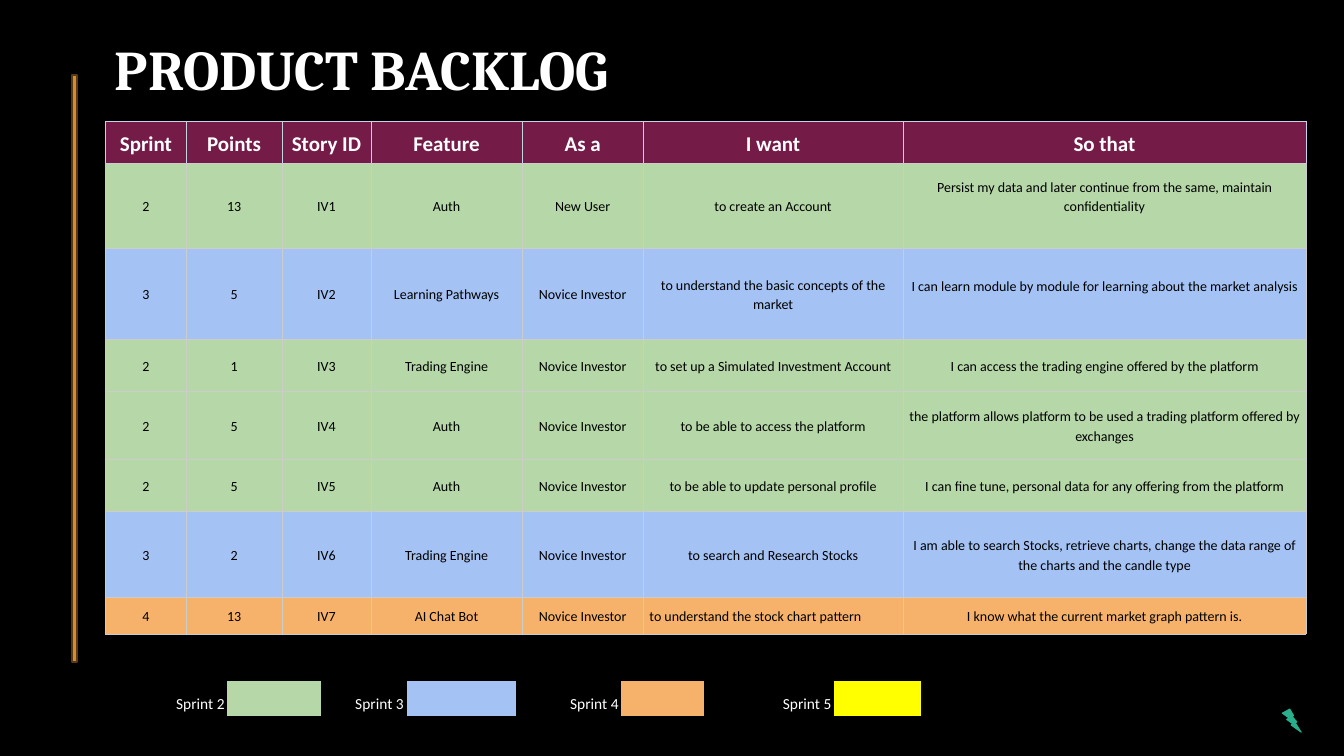
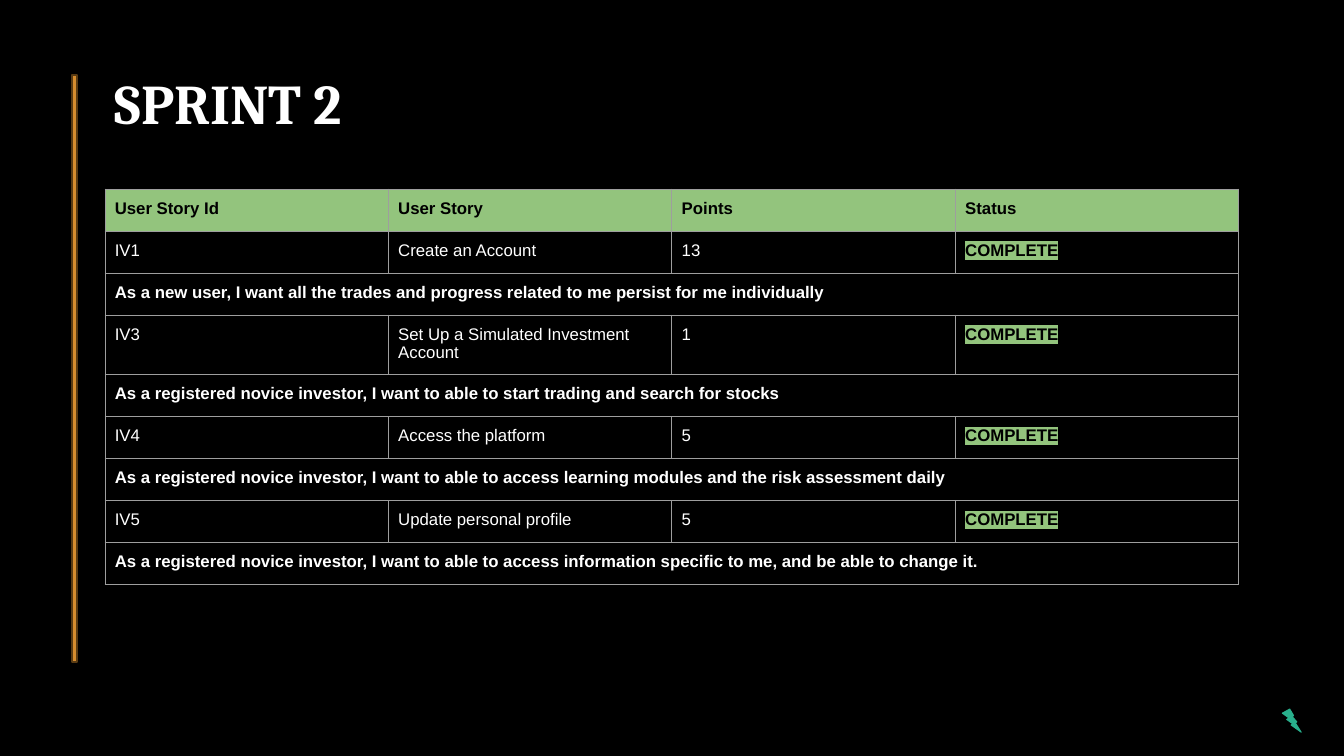
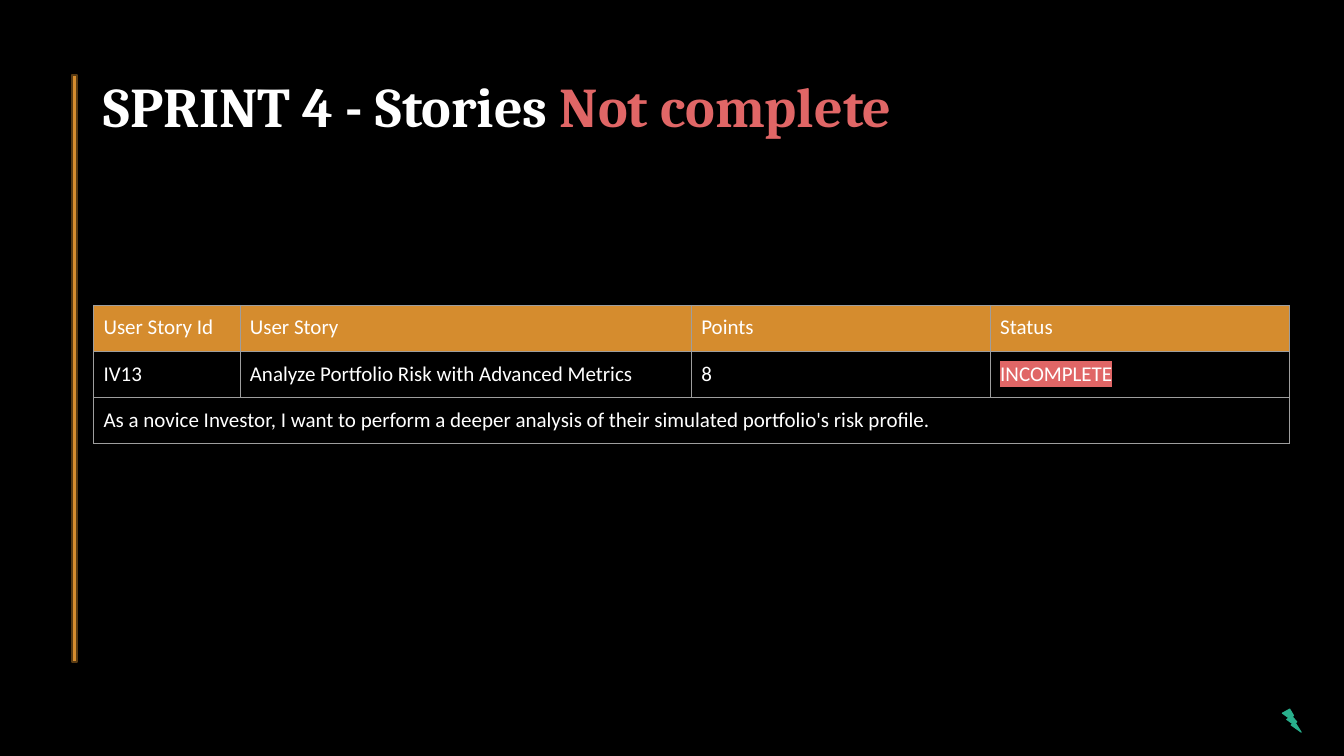
from dataclasses import dataclass, replace
from itertools import chain
from typing import Optional

from lxml.etree import SubElement
from pptx import Presentation
from pptx.dml.color import RGBColor
from pptx.enum.shapes import MSO_SHAPE
from pptx.enum.text import MSO_ANCHOR, PP_ALIGN
from pptx.oxml.ns import qn
from pptx.util import Pt

BLACK, WHITE = "000000", "FFFFFF"
GOLD, BROWN, TEAL = "D58C2E", "593B13", "29AF8C"
PLUM, LIME, RED = "741B47", "93C47D", "E06666"
SILVER, FROST, GREY = "CCCCCC", "C7D2E6", "9E9E9E"
SPRINTS = {"2": "B6D7A8", "3": "A4C2F4", "4": "F6B26B", "5": "FFFF00"}


@dataclass(frozen=True)
class Cell:
    text: str = ""
    size: float = 12
    font: str = "Calibri"
    color: str = WHITE
    bold: bool = False
    fill: Optional[str] = None
    mark: Optional[str] = None
    align: PP_ALIGN = PP_ALIGN.LEFT
    anchor: MSO_ANCHOR = MSO_ANCHOR.TOP
    pads: tuple[float, float, float, float] = (7, 7, 7, 7)
    space: float = 1
    edge: Optional[str] = None
    width: float = 0.75
    wide: bool = False


@dataclass(frozen=True)
class Grid:
    left: float
    top: float
    cols: list[float]
    rows: list[float]
    cells: list[list[Cell]]


def paint(target, code: str) -> None:
    """Give a fill or a line's fill one solid colour."""
    target.solid()
    target.fore_color.rgb = RGBColor.from_string(code)


def style(run, font: str, size: float, color: str, bold: bool) -> None:
    run.font.name, run.font.size, run.font.bold = font, Pt(size), bold
    run.font.color.rgb = RGBColor.from_string(color)


def mark_run(run, code: str) -> None:
    """Put a highlight behind a run that already has its colour."""
    props = run.font.fill._xPr
    mark = SubElement(props, qn("a:highlight"))
    SubElement(mark, qn("a:srgbClr"), val=code)
    props.find(qn("a:solidFill")).addnext(mark)


def edge_cell(box, code: Optional[str], width: float) -> None:
    """Draw all four borders, or none when there is no colour."""
    props = box._tc.get_or_add_tcPr()
    for side in "LRTB":
        line = SubElement(props, qn(f"a:ln{side}"), w=str(Pt(width)))
        if code:
            fill = SubElement(line, qn("a:solidFill"))
            SubElement(fill, qn("a:srgbClr"), val=code)
        else:
            SubElement(line, qn("a:noFill"))


def fill_cell(box, cell: Cell) -> None:
    edge_cell(box, cell.edge, cell.width)
    if cell.fill:
        paint(box.fill, cell.fill)
    else:
        box.fill.background()
    box.margin_left, box.margin_top, box.margin_right, box.margin_bottom = map(Pt, cell.pads)
    box.vertical_anchor = cell.anchor
    if not cell.text:
        return
    box.text_frame.text = cell.text
    para = box.text_frame.paragraphs[0]
    para.alignment, para.line_spacing = cell.align, cell.space
    run = para.runs[0]
    style(run, cell.font, cell.size, cell.color, cell.bold)
    if cell.mark:
        mark_run(run, cell.mark)


def add_grid(slide, grid: Grid) -> None:
    table = slide.shapes.add_table(
        len(grid.rows), len(grid.cols), Pt(grid.left), Pt(grid.top),
        Pt(sum(grid.cols)), Pt(sum(grid.rows))).table
    table.first_row = table.horz_banding = False
    for col, width in zip(table.columns, grid.cols):
        col.width = Pt(width)
    for y, (height, cells) in enumerate(zip(grid.rows, grid.cells)):
        table.rows[y].height = Pt(height)
        for x, cell in enumerate(cells):
            fill_cell(table.cell(y, x), cell)
        if cells[0].wide:
            for x in range(1, len(grid.cols)):
                fill_cell(table.cell(y, x), replace(cells[0], text=""))
            table.cell(y, 0).merge(table.cell(y, len(grid.cols) - 1))


def add_shape(slide, kind: MSO_SHAPE, place: tuple, fill: str, line: str, width: float) -> None:
    shape = slide.shapes.add_shape(kind, *map(Pt, place))
    shape.shadow.inherit = False
    paint(shape.fill, fill)
    paint(shape.line.fill, line)
    shape.line.width = Pt(width)


def add_title(slide, place: tuple, parts: list[tuple[str, str]]) -> None:
    frame = slide.shapes.add_textbox(*map(Pt, place)).text_frame
    frame.word_wrap = True
    frame.margin_left = frame.margin_right = Pt(7.2)
    frame.margin_top = frame.margin_bottom = Pt(7.2)
    frame.vertical_anchor = MSO_ANCHOR.MIDDLE
    para = frame.paragraphs[0]
    para.line_spacing = 0.9
    for text, color in parts:
        run = para.add_run()
        run.text = text
        style(run, "Cambria", 40, color, True)


def new_slide(deck, place: tuple, parts: list[tuple[str, str]]):
    """Start a slide with the shared ground, bar, bolt and title."""
    slide = deck.slides.add_slide(deck.slide_layouts[6])
    paint(slide.background.fill, BLACK)
    add_shape(slide, MSO_SHAPE.RECTANGLE, (51.5, 53.5, 3.5, 419.5), GOLD, BROWN, 1)
    add_shape(slide, MSO_SHAPE.LIGHTNING_BOLT, (916, 506.5, 13.5, 16.5), TEAL, TEAL, 0.75)
    add_title(slide, place, parts)
    return slide


HEADS = ["Sprint", "Points", "Story ID", "Feature", "As a", "I want", "So that"]
NOVICE = "Novice Investor"
BACKLOG = [
    ("2", "13", "IV1", "Auth", "New User", "to create an Account",
     "Persist my data and later continue from the same, maintain confidentiality"),
    ("3", "5", "IV2", "Learning Pathways", NOVICE,
     "to understand the basic concepts of the market",
     "I can learn module by module for learning about the market analysis"),
    ("2", "1", "IV3", "Trading Engine", NOVICE, "to set up a Simulated Investment Account",
     "I can access the trading engine offered by the platform"),
    ("2", "5", "IV4", "Auth", NOVICE, "to be able to access the platform",
     "the platform allows platform to be used a trading platform offered by exchanges"),
    ("2", "5", "IV5", "Auth", NOVICE, "to be able to update personal profile",
     "I can fine tune, personal data for any offering from the platform"),
    ("3", "2", "IV6", "Trading Engine", NOVICE, "to search and Research Stocks",
     "I am able to search Stocks, retrieve charts, change the data range of the charts "
     "and the candle type"),
    ("4", "13", "IV7", "AI Chat Bot", NOVICE, "to understand the stock chart pattern",
     "I know what the current market graph pattern is."),
]
STORY_HEADS = ["User Story Id", "User Story", "Points", "Status"]
DONE = [
    ("IV1", "Create an Account", "13",
     "As a new user, I want all the trades and progress related to me persist for me "
     "individually"),
    ("IV3", "Set Up a Simulated Investment Account", "1",
     "As a registered novice investor, I want to able to start trading and search for stocks"),
    ("IV4", "Access the platform", "5",
     "As a registered novice investor, I want to able to access learning modules and the "
     "risk assessment daily"),
    ("IV5", "Update personal profile", "5",
     "As a registered novice investor, I want to able to access information specific to me, "
     "and be able to change it."),
]
OPEN = [
    ("IV13", "Analyze Portfolio Risk with Advanced Metrics", "8",
     "As a novice Investor, I want to perform a deeper analysis of their simulated "
     "portfolio's risk profile."),
]


def row_of(base: Cell, texts) -> list[Cell]:
    return [replace(base, text=text) for text in texts]


def story_rows(head: Cell, plain: Cell, state: Cell, note: Cell, tales) -> list[list[Cell]]:
    """Head row, then for each story a row of facts and a full-width note."""
    pairs = ([row_of(plain, facts) + [state], [replace(note, text=text)]]
             for *facts, text in tales)
    return [row_of(head, STORY_HEADS), *chain.from_iterable(pairs)]


def backlog_grid() -> Grid:
    body = Cell(size=10, color=BLACK, align=PP_ALIGN.CENTER, anchor=MSO_ANCHOR.MIDDLE,
                pads=(2, 1.5, 2, 1.5), space=1.15, edge=SILVER, width=0.5)
    head = replace(body, size=15, color=WHITE, bold=True, fill=PLUM, edge=FROST)
    cells = [row_of(head, HEADS)]
    cells += [row_of(replace(body, fill=SPRINTS[row[0]]), row) for row in BACKLOG]
    for y, lift in ((1, 15.5), (2, 13.5)):
        cells[y][-1] = replace(cells[y][-1], pads=(2, 1.5, 2, lift))
    cells[-1][5] = replace(cells[-1][5], align=PP_ALIGN.LEFT, pads=(4.5, 1.5, 2, 1.5))
    return Grid(75.5, 87, [57.5, 68.5, 63.5, 108, 86.5, 185.5, 288],
                [29.5, 61, 65, 37, 49, 37, 61, 26.5], cells)


def legend_grid() -> Grid:
    base = Cell(size=11, align=PP_ALIGN.RIGHT, anchor=MSO_ANCHOR.BOTTOM,
                pads=(2, 1.5, 2, 1.5), space=1.15)
    cells = []
    for sprint, fill in SPRINTS.items():
        cells += [replace(base, text=f"Sprint {sprint}"), replace(base, fill=fill), base]
    return Grid(39.5, 486.5, [123, 67, 20, 41, 78.5, 20, 55, 59, 24.5, 68.5, 62],
                [25], [cells[:-1]])


def done_grid() -> Grid:
    plain = Cell(font="Arial", edge=GREY)
    note = replace(plain, bold=True, wide=True)
    head = replace(plain, color=BLACK, bold=True, fill=LIME)
    state = replace(plain, text="COMPLETE", color=BLACK, bold=True, mark=LIME)
    cells = story_rows(head, plain, state, note, DONE)
    return Grid(75, 135, [202.5] * 4, [30] * len(cells), cells)


def open_grid() -> Grid:
    plain = Cell(size=15, edge=GREY)
    cells = story_rows(replace(plain, fill=GOLD), plain,
                       replace(plain, text="INCOMPLETE", mark=RED),
                       replace(plain, wide=True), OPEN)
    return Grid(67, 218, [104.5, 322.5, 213.5, 213.5], [33] * len(cells), cells)


def main() -> None:
    deck = Presentation()
    deck.slide_width, deck.slide_height = Pt(960), Pt(540)

    slide = new_slide(deck, (75, 23, 410, 58), [("PRODUCT BACKLOG", WHITE)])
    add_grid(slide, backlog_grid())
    add_grid(slide, legend_grid())

    slide = new_slide(deck, (75, 47, 236, 58), [("SPRINT 2", WHITE)])
    add_grid(slide, done_grid())

    slide = new_slide(deck, (67, 44, 780, 68),
                      [("SPRINT 4 - Stories ", WHITE), ("Not complete", RED)])
    add_grid(slide, open_grid())

    deck.save("out.pptx")


if __name__ == "__main__":
    main()
